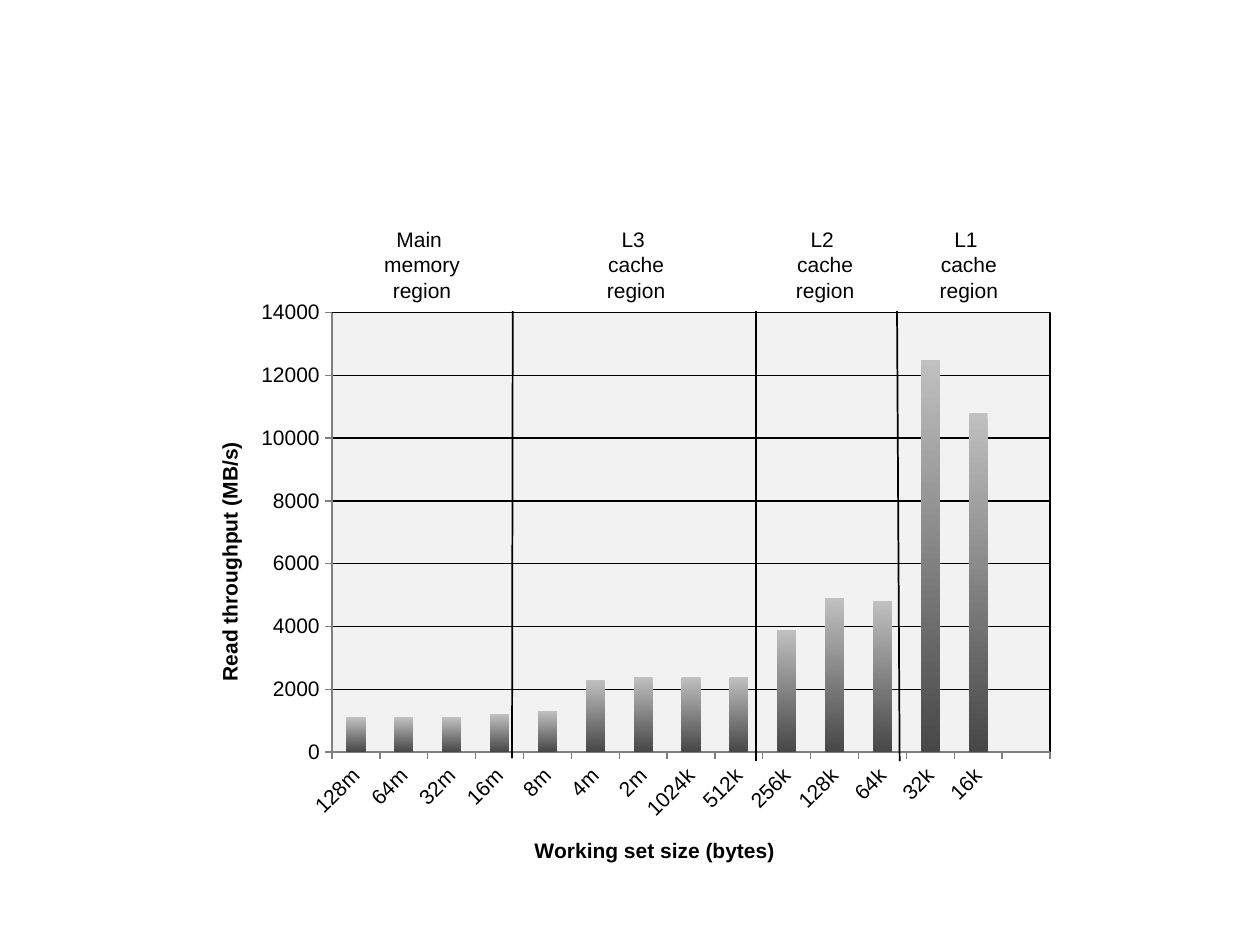
from dataclasses import dataclass

from lxml.etree import SubElement
from pptx import Presentation
from pptx.chart.data import CategoryChartData
from pptx.dml.color import RGBColor
from pptx.enum.chart import XL_CHART_TYPE, XL_TICK_MARK
from pptx.enum.shapes import MSO_CONNECTOR
from pptx.enum.text import MSO_AUTO_SIZE, PP_ALIGN
from pptx.oxml import parse_xml
from pptx.oxml.ns import nsdecls, qn
from pptx.util import Pt

BLACK = RGBColor(0x00, 0x00, 0x00)
GRAY = RGBColor(0x80, 0x80, 0x80)
LIGHT = RGBColor(0xC0, 0xC0, 0xC0)
DARK = RGBColor(0x47, 0x47, 0x47)
FACE = "Arial"
SIZE = 12


@dataclass
class Region:
    left: float
    width: float
    lines: tuple[str, ...]
    wrap: bool = True


@dataclass
class Border:
    top_x: float
    end_x: float
    end_y: float


REGIONS = [
    Region(211.7, 59, ("Main ", "memory ", "region"), False),
    Region(325.4, 76.3, ("L3 ", "cache region")),
    Region(433.4, 76.3, ("L2 ", "cache region")),
    Region(515.5, 76.3, ("L1 ", "cache region")),
]
BORDERS = [
    Border(512.6, 514.1, 434.9),
    Border(432, 432, 434.9),
    Border(293, 292.6, 433.4),
]
SIZES = ["128m", "64m", "32m", "16m", "8m", "4m", "2m", "1024k",
         "512k", "256k", "128k", "64k", "32k", "16k", ""]
RATES = [1100, 1100, 1100, 1200, 1300, 2300, 2400, 2400,
         2400, 3900, 4900, 4800, 12500, 10800, None]


def style(font, bold: bool = False) -> None:
    font.name = FACE
    font.size = Pt(SIZE)
    font.bold = bold
    font.color.rgb = BLACK


def place(node, index: int, **spots: float) -> None:
    old = node.find(qn("c:layout"))
    if old is not None:
        node.remove(old)
    layout = parse_xml(f"<c:layout {nsdecls('c')}/>")
    manual = SubElement(layout, qn("c:manualLayout"))
    if "w" in spots:
        SubElement(manual, qn("c:layoutTarget")).set("val", "inner")
    for key in ("x", "y"):
        SubElement(manual, qn(f"c:{key}Mode")).set("val", "edge")
    for key, value in spots.items():
        SubElement(manual, qn(f"c:{key}")).set("val", str(value))
    node.insert(index, layout)


def turn(node, angle: int) -> None:
    body = node.find(".//" + qn("a:bodyPr"))
    body.set("rot", str(angle * 60000))
    body.set("vert", "horz")


def set_axis(axis, title: str, x: float, y: float, angle: int) -> None:
    axis.major_tick_mark = XL_TICK_MARK.OUTSIDE
    axis.minor_tick_mark = XL_TICK_MARK.NONE
    axis.format.line.color.rgb = GRAY
    style(axis.tick_labels.font)
    head = axis.axis_title
    run = head.text_frame.paragraphs[0].add_run()
    run.text = title
    style(run.font, True)
    turn(head._element, angle)
    place(head._element, 1, x=x, y=y)


def add_plot(slide) -> None:
    data = CategoryChartData()
    data.categories = SIZES
    data.add_series("Series 1", RATES)
    chart = slide.shapes.add_chart(
        XL_CHART_TYPE.COLUMN_CLUSTERED,
        Pt(106.6), Pt(164.9), Pt(504), Pt(342.7), data).chart
    chart.has_legend = False
    chart.has_title = False
    chart.font.name = FACE
    chart.font.size = Pt(10)
    chart.font.color.rgb = BLACK

    across, up = chart.category_axis, chart.value_axis
    set_axis(across, "Working set size (bytes)", 0.39, 0.91, 0)
    set_axis(up, "Read throughput (MB/s)", 0.03, 0.25, -90)
    turn(across._element.find(qn("c:txPr")), -45)
    up.minimum_scale = 0
    up.maximum_scale = 14000
    up.major_unit = 2000
    up.has_major_gridlines = True
    grid = up.major_gridlines.format.line
    grid.color.rgb = BLACK
    grid.width = Pt(0.75)

    plot = chart.plots[0]
    plot.gap_width = 150
    plot.vary_by_categories = False
    fill = plot.series[0].format.fill
    fill.gradient()
    fill.gradient_angle = 270
    for stop, color in zip(fill.gradient_stops, (LIGHT, DARK)):
        stop.color.rgb = color

    area = chart._chartSpace.chart.plotArea
    place(area, 0, x=0.165, y=0.04, w=0.814, h=0.733)
    area.append(parse_xml(
        f"<c:spPr {nsdecls('c', 'a')}>"
        '<a:solidFill><a:srgbClr val="F2F2F2"/></a:solidFill>'
        '<a:ln w="9525"><a:solidFill><a:srgbClr val="000000"/></a:solidFill></a:ln>'
        "</c:spPr>"))


def add_border(slide, border: Border) -> None:
    line = slide.shapes.add_connector(
        MSO_CONNECTOR.STRAIGHT, Pt(border.top_x), Pt(177.8),
        Pt(border.end_x), Pt(border.end_y))
    line.line.color.rgb = BLACK
    line.line.width = Pt(1)
    SubElement(line._element.spPr, qn("a:effectLst"))


def add_label(slide, region: Region) -> None:
    box = slide.shapes.add_textbox(
        Pt(region.left), Pt(126), Pt(region.width), Pt(51))
    frame = box.text_frame
    frame.word_wrap = region.wrap
    frame.auto_size = MSO_AUTO_SIZE.SHAPE_TO_FIT_TEXT
    for i, text in enumerate(region.lines):
        para = frame.add_paragraph() if i else frame.paragraphs[0]
        para.alignment = PP_ALIGN.CENTER
        run = para.add_run()
        run.text = text
        style(run.font)


def main() -> None:
    deck = Presentation()
    deck.slide_width = Pt(720)
    deck.slide_height = Pt(540)
    slide = deck.slides.add_slide(deck.slide_layouts[6])
    add_plot(slide)
    for border in BORDERS:
        add_border(slide, border)
    for region in REGIONS:
        add_label(slide, region)
    deck.save("out.pptx")


if __name__ == "__main__":
    main()
